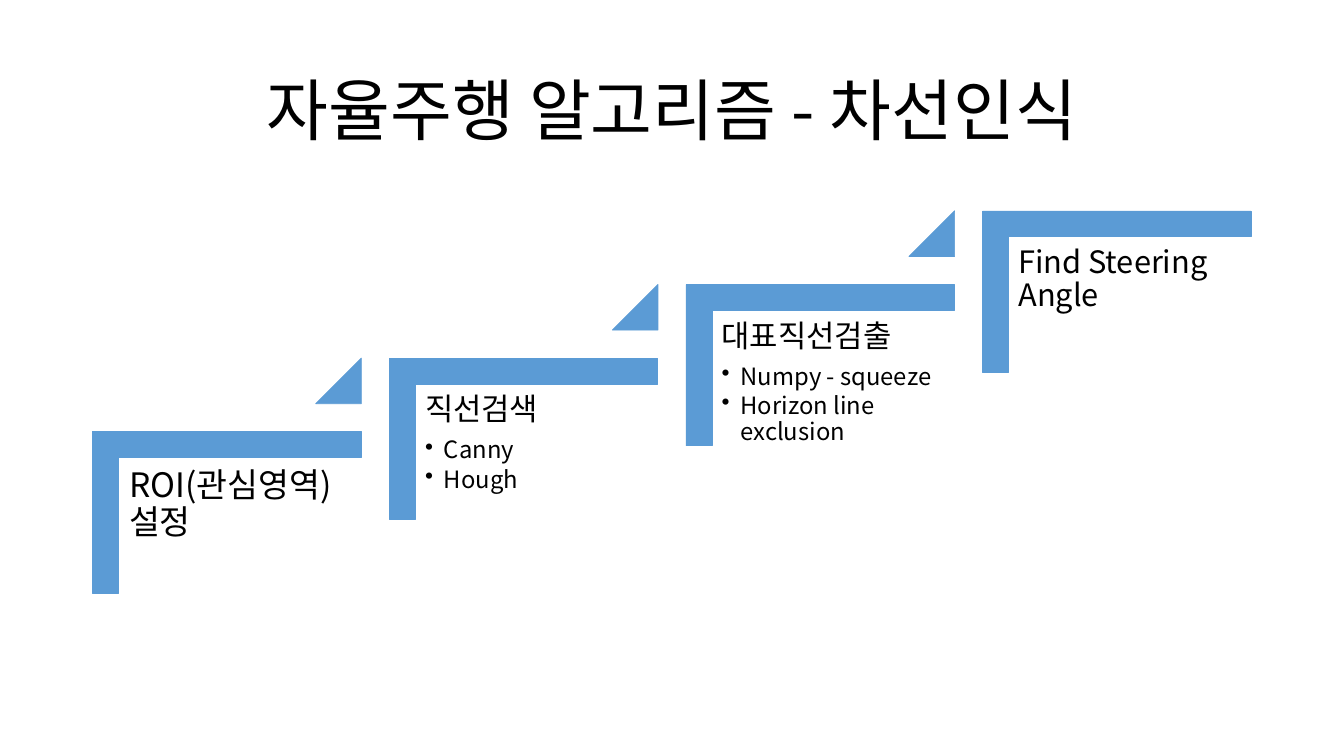
from lxml import etree
from pptx import Presentation
from pptx.dml.color import RGBColor
from pptx.enum.shapes import MSO_SHAPE
from pptx.enum.text import MSO_ANCHOR, MSO_AUTO_SIZE, PP_ALIGN
from pptx.oxml.ns import qn
from pptx.util import Pt

CORNER, TRIANGLE = MSO_SHAPE.CORNER, MSO_SHAPE.ISOSCELES_TRIANGLE
TOP, MIDDLE = MSO_ANCHOR.TOP, MSO_ANCHOR.MIDDLE
LEFT, CENTER = PP_ALIGN.LEFT, PP_ALIGN.CENTER
NO_AUTOFIT = MSO_AUTO_SIZE.NONE

THEME = {
    "font": "Noto Sans CJK KR",
    "ink": RGBColor(0x00, 0x00, 0x00),
    "step": RGBColor(0x5B, 0x9B, 0xD5),
    "title": 48,
    "first_heading": 24,
    "heading": 22,
    "detail": 17,
}


def write(paragraph, text, size, align=LEFT, after=0, bullet=False):
    paragraph.alignment = align
    paragraph.line_spacing = 0.9
    paragraph.space_before = Pt(0)
    paragraph.space_after = Pt(after)
    if bullet:
        paragraph.level = 1
        properties = paragraph._p.get_or_add_pPr()
        properties.set("marL", str(Pt(13.5)))
        properties.set("indent", str(Pt(-13.5)))
        etree.SubElement(properties, qn("a:buChar")).set("char", "•")
    run = paragraph.add_run()
    run.text = text
    run.font.size = Pt(size)
    run.font.name = THEME["font"]
    run.font.color.rgb = THEME["ink"]
    east_asian = etree.SubElement(run._r.get_or_add_rPr(), qn("a:ea"))
    east_asian.set("typeface", THEME["font"])


def add_step_shape(kind, left, top, width, height, adjustments):
    shape = slide.shapes.add_shape(kind, Pt(left), Pt(top), Pt(width), Pt(height))
    for index, value in enumerate(adjustments):
        shape.adjustments[index] = value
    shape.shadow.inherit = False
    shape.fill.solid()
    shape.fill.fore_color.rgb = THEME["step"]
    shape.line.color.rgb = THEME["step"]
    shape.line.width = Pt(0.5)
    return shape


presentation = Presentation()
presentation.slide_width, presentation.slide_height = Pt(960), Pt(540)
slide = presentation.slides.add_slide(presentation.slide_layouts[5])

# Title
title = slide.shapes.title
title.left, title.top, title.width, title.height = Pt(66), Pt(28.75), Pt(828), Pt(104.4)
title.text_frame.auto_size = NO_AUTOFIT
title.text_frame.vertical_anchor = MIDDLE
write(title.text_frame.paragraphs[0], "자율주행 알고리즘 - 차선인식",
      size=THEME["title"], align=CENTER)

# Rising steps: heading, heading size, inset, details
steps = [
    ("ROI(관심영역)설정", THEME["first_heading"], 7.2, []),
    ("직선검색", THEME["heading"], 6.6, ["Canny", "Hough"]),
    ("대표직선검출", THEME["heading"], 6.6, ["Numpy - squeeze", "Horizon line exclusion"]),
    ("Find Steering Angle", THEME["heading"], 6.6, []),
]
STEP_RUN, STEP_RISE = 211.9, 52.6

for number, (heading, heading_size, inset, details) in enumerate(steps):
    across, up = number * STEP_RUN, number * STEP_RISE

    # Corner bracket
    bracket = add_step_shape(CORNER, 104.4 + across, 270.2 - up, 115.2, 191.7, [0.161, 0.161])
    bracket.rotation = 90

    # Heading and details
    label = slide.shapes.add_textbox(Pt(85.1 + across), Pt(327.6 - up), Pt(172.8), Pt(151.9))
    frame = label.text_frame
    frame.word_wrap = True
    frame.vertical_anchor = TOP
    frame.margin_left = frame.margin_right = Pt(inset)
    frame.margin_top = frame.margin_bottom = Pt(inset)
    write(frame.paragraphs[0], heading, size=heading_size, after=7.7)
    for detail in details:
        write(frame.add_paragraph(), detail, size=THEME["detail"], after=2.5, bullet=True)

    # Triangle leading up to the next step
    if number < len(steps) - 1:
        add_step_shape(TRIANGLE, 225.5 + across, 255.8 - up, 32.6, 32.6, [1])

presentation.save("out.pptx")
